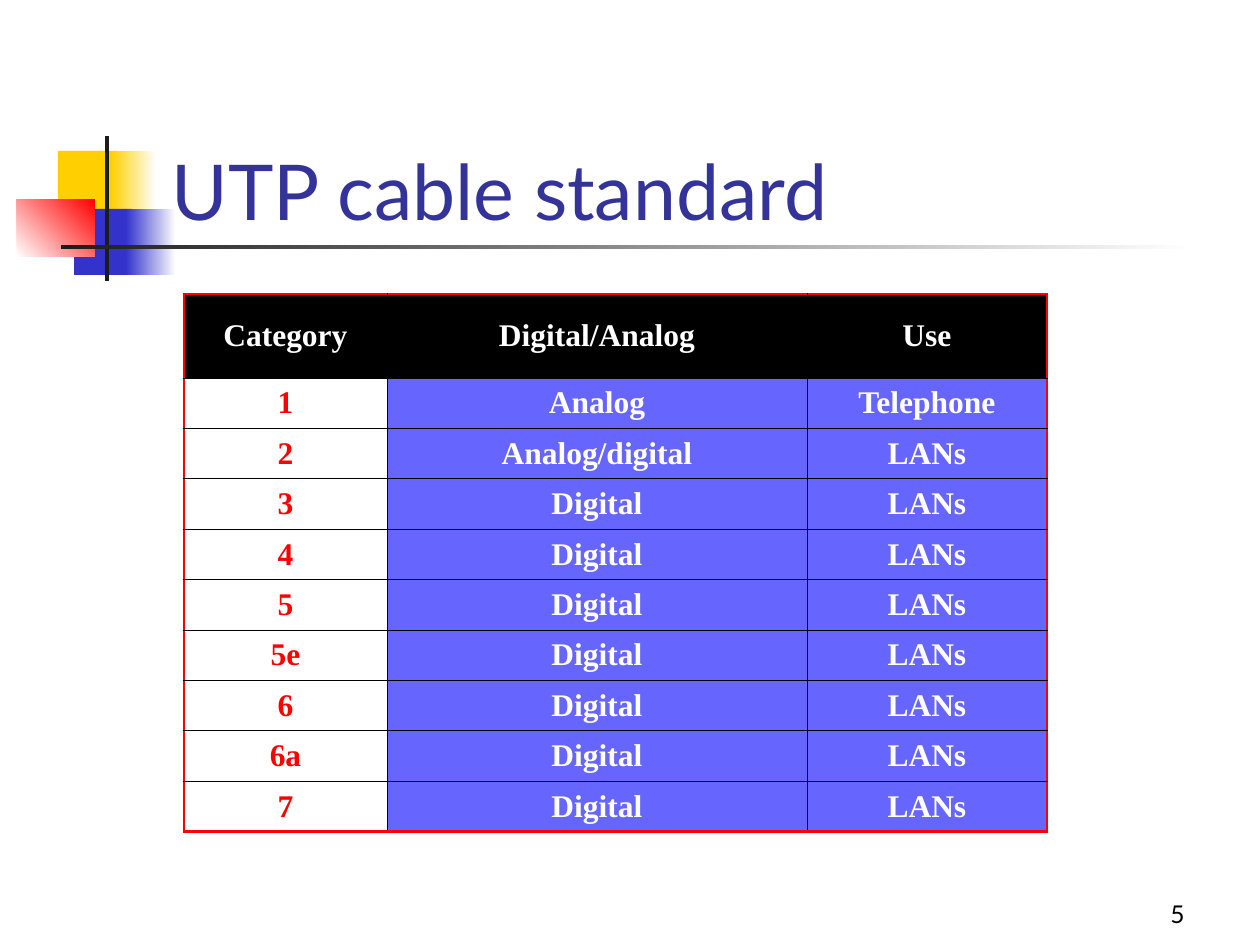
from dataclasses import dataclass

from lxml import etree
from pptx import Presentation
from pptx.dml.color import RGBColor
from pptx.enum.shapes import MSO_SHAPE
from pptx.enum.text import MSO_ANCHOR, MSO_AUTO_SIZE, PP_ALIGN
from pptx.oxml.ns import qn
from pptx.util import Emu, Pt

RECTANGLE = MSO_SHAPE.RECTANGLE
MIDDLE, BOTTOM = MSO_ANCHOR.MIDDLE, MSO_ANCHOR.BOTTOM
LEFT, CENTER, RIGHT = PP_ALIGN.LEFT, PP_ALIGN.CENTER, PP_ALIGN.RIGHT
NO_AUTOFIT = MSO_AUTO_SIZE.NONE
EMU_PER_PX = 914400 / 126
TITLE_ONLY = 5


@dataclass(frozen=True)
class Theme:
    white: str = "FFFFFF"
    black: str = "000000"
    charcoal: str = "1C1C1C"
    yellow: str = "FFCF01"
    blue: str = "3333CC"
    red: str = "FF0000"
    title: str = "333399"
    cell: str = "6666FF"
    sans: str = "Lato"
    serif: str = "Times New Roman"
    title_size: int = 44
    table_size: int = 18
    number_size: int = 14
    frame_width: float = 1.47
    grid_width: float = 0.45


@dataclass(frozen=True)
class Box:
    left: int
    top: int
    width: int
    height: int


@dataclass(frozen=True)
class Bar:
    box: Box
    start: str
    end: str = ""
    angle: int = 0


@dataclass(frozen=True)
class TextStyle:
    font: str
    size: int
    color: str
    bold: bool = False
    align: PP_ALIGN = CENTER


THEME = Theme()
BARS = [
    Bar(Box(58, 151, 60, 66), THEME.yellow),
    Bar(Box(111, 151, 45, 66), THEME.yellow, THEME.white),
    Bar(Box(74, 209, 58, 66), THEME.blue),
    Bar(Box(126, 209, 50, 66), THEME.blue, THEME.white),
    Bar(Box(17, 199, 78, 58), THEME.white, THEME.red, 45),
    Bar(Box(105, 136, 4, 145), THEME.charcoal),
    Bar(Box(61, 245, 1134, 4), THEME.charcoal, THEME.white),
]
TITLE_BOX = Box(159, 84, 1074, 158)
NUMBER_BOX = Box(935, 872, 262, 63)
TABLE_BOX = Box(184, 294, 863, 538)
COLUMN_WIDTHS = [203, 420, 240]
HEADER_HEIGHT = 84
ROWS = [
    ("Category", "Digital/Analog", "Use"),
    ("1", "Analog", "Telephone"),
    ("2", "Analog/digital", "LANs"),
    *((category, "Digital", "LANs") for category in ("3", "4", "5", "5e", "6", "6a", "7")),
]


def px(length: float) -> Emu:
    return Emu(round(length * EMU_PER_PX))


def place(box: Box) -> tuple:
    return px(box.left), px(box.top), px(box.width), px(box.height)


def write(frame, text: str, style: TextStyle) -> None:
    para = frame.paragraphs[0]
    para.alignment = style.align
    span = para.add_run()
    span.text = text
    span.font.name = style.font
    span.font.size = Pt(style.size)
    span.font.bold = style.bold
    span.font.color.rgb = RGBColor.from_string(style.color)


def draw_bar(page, bar: Bar) -> None:
    shape = page.shapes.add_shape(RECTANGLE, *place(bar.box))
    shape.shadow.inherit = False
    shape.line.fill.background()
    if bar.end:
        shape.fill.gradient()
        shape.fill.gradient_angle = bar.angle
        for stop, color in zip(shape.fill.gradient_stops, (bar.start, bar.end)):
            stop.color.rgb = RGBColor.from_string(color)
    else:
        shape.fill.solid()
        shape.fill.fore_color.rgb = RGBColor.from_string(bar.start)


def draw_title(page) -> None:
    title = page.shapes.title
    title.left, title.top, title.width, title.height = place(TITLE_BOX)
    frame = title.text_frame
    frame.auto_size = NO_AUTOFIT
    frame.vertical_anchor = BOTTOM
    write(frame, "UTP cable standard",
          TextStyle(THEME.sans, THEME.title_size, THEME.title, align=LEFT))
    title.element.getparent().append(title.element)


def draw_number(page) -> None:
    frame = page.shapes.add_textbox(*place(NUMBER_BOX)).text_frame
    frame.word_wrap = True
    frame.vertical_anchor = BOTTOM
    write(frame, "5", TextStyle(THEME.sans, THEME.number_size, THEME.black, align=RIGHT))


def draw_borders(cell, outer_edges: dict[str, bool]) -> None:
    properties = cell._tc.get_or_add_tcPr()
    for edge, is_outer in outer_edges.items():
        width = THEME.frame_width if is_outer else THEME.grid_width
        color = THEME.red if is_outer else THEME.black
        line = etree.SubElement(properties, qn(f"a:ln{edge}"), w=str(Pt(width)))
        fill = etree.SubElement(line, qn("a:solidFill"))
        etree.SubElement(fill, qn("a:srgbClr"), val=color)


def cell_colors(row: int, column: int) -> tuple[str, str]:
    if row == 0:
        return THEME.black, THEME.white
    if column == 0:
        return THEME.white, THEME.red
    return THEME.cell, THEME.white


def draw_table(page) -> None:
    last_row, last_column = len(ROWS) - 1, len(COLUMN_WIDTHS) - 1
    table = page.shapes.add_table(len(ROWS), len(COLUMN_WIDTHS), *place(TABLE_BOX)).table
    table.first_row = table.horz_banding = False
    for column, width in zip(table.columns, COLUMN_WIDTHS):
        column.width = px(width)
    body_height = (TABLE_BOX.height - HEADER_HEIGHT) / last_row
    for r, texts in enumerate(ROWS):
        table.rows[r].height = px(body_height if r else HEADER_HEIGHT)
        for c, text in enumerate(texts):
            cell = table.cell(r, c)
            background, color = cell_colors(r, c)
            draw_borders(cell, {"L": c == 0, "R": c == last_column,
                                "T": r == 0, "B": r == last_row})
            cell.fill.solid()
            cell.fill.fore_color.rgb = RGBColor.from_string(background)
            cell.vertical_anchor = MIDDLE
            write(cell.text_frame, text,
                  TextStyle(THEME.serif, THEME.table_size, color, bold=True))


def main() -> None:
    deck = Presentation()
    deck.slide_width, deck.slide_height = px(1260), px(945)
    page = deck.slides.add_slide(deck.slide_layouts[TITLE_ONLY])
    for bar in BARS:
        draw_bar(page, bar)
    draw_number(page)
    draw_title(page)
    draw_table(page)
    deck.save("out.pptx")


if __name__ == "__main__":
    main()
